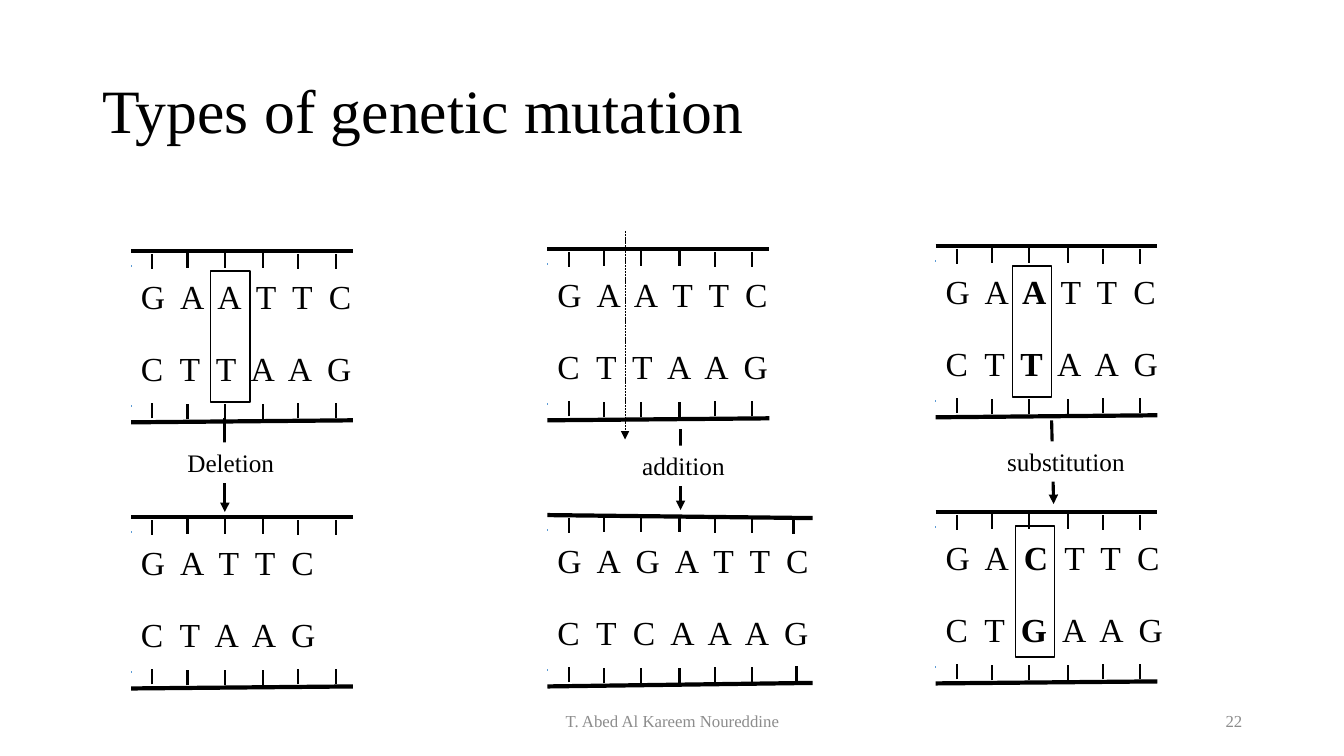
from dataclasses import dataclass
from itertools import accumulate

from lxml.etree import SubElement
from pptx import Presentation
from pptx.dml.color import RGBColor
from pptx.enum.dml import MSO_LINE
from pptx.enum.shapes import MSO_CONNECTOR, MSO_SHAPE
from pptx.enum.text import MSO_ANCHOR, PP_ALIGN
from pptx.oxml.ns import qn
from pptx.util import Inches, Pt


@dataclass(frozen=True)
class Theme:
    font: str = "Times New Roman"
    ink: RGBColor = RGBColor(0, 0, 0)
    paper: RGBColor = RGBColor(255, 255, 255)
    muted: RGBColor = RGBColor(0x8C, 0x8C, 0x8C)
    accent: RGBColor = RGBColor(0x5B, 0x9B, 0xD5)
    title: int = 44
    base: int = 24
    label: int = 18
    footer: int = 12
    rail: float = 3
    arrow: float = 2.25
    tick: float = 1.5
    frame: float = 1
    hairline: float = 0.5


THEME = Theme()

# Letter widths and side kerning, in ems; each gap between bases is half an em
LETTER = {"G": 0.72, "A": 0.72, "T": 0.61, "C": 0.67}
BOLD_LETTER = {"G": 0.78, "A": 0.72, "T": 0.67, "C": 0.72}
KERN = {"A": 0.055, "T": 0.018}
BASE_GAP = 0.5

# Strand geometry, relative to the left end of its top rail
TICK_XS = (0.21, 0.56, 0.93, 1.31, 1.66, 2.03)
SHORT_RAIL, LONG_RAIL = 2.2, 2.63
TICK_LENGTH = 0.15
STRAND_STEP = 2.64


def add_run(paragraph, text, size, color=THEME.ink, bold=False):
    run = paragraph.add_run()
    run.text = text
    run.font.name, run.font.size = THEME.font, Pt(size)
    run.font.color.rgb, run.font.bold = color, bold


def add_text(shapes, box, text, size, color=THEME.ink, align=PP_ALIGN.LEFT,
             anchor=MSO_ANCHOR.MIDDLE):
    text_box = shapes.add_textbox(*map(Inches, box))
    frame = text_box.text_frame
    frame.word_wrap, frame.vertical_anchor = True, anchor
    paragraph = frame.paragraphs[0]
    paragraph.alignment = align
    if text:
        add_run(paragraph, text, size, color)
    return text_box


def add_line(shapes, start, end, width, color=THEME.ink, dash=None, arrow=False):
    line = shapes.add_connector(MSO_CONNECTOR.STRAIGHT, *map(Inches, (*start, *end)))
    line.line.color.rgb, line.line.width = color, Pt(width)
    if dash:
        line.line.dash_style = dash
    if arrow:
        SubElement(line.line._get_or_add_ln(), qn("a:tailEnd"), type="triangle")
    SubElement(line._element.spPr, qn("a:effectLst"))


def add_bases(shapes, box, bases, bold_index):
    """Write a row of bases, each at a tab stop worked out from letter widths."""
    row = add_text(shapes, box, "", THEME.base, anchor=MSO_ANCHOR.TOP)
    paragraph = row.text_frame.paragraphs[0]
    advances = []
    for i, (base, following) in enumerate(zip(bases, bases[1:])):
        width = (BOLD_LETTER if i == bold_index else LETTER)[base]
        kern = KERN.get(base, 0) + KERN.get(following, 0)
        advances.append((width + BASE_GAP - kern) * THEME.base / 72)
    tabs = SubElement(paragraph._p.get_or_add_pPr(), qn("a:tabLst"))
    for stop in accumulate(advances):
        SubElement(tabs, qn("a:tab"), pos=str(Inches(stop)), algn="l")
    if bold_index is None:
        add_run(paragraph, "\t".join(bases), THEME.base)
    else:
        add_run(paragraph, "\t".join(bases[:bold_index]) + "\t", THEME.base)
        add_run(paragraph, bases[bold_index], THEME.base, bold=True)
        add_run(paragraph, "\t" + "\t".join(bases[bold_index + 1:]), THEME.base)


def add_strand(slide, x, y, rows, rail=SHORT_RAIL, tilt=0, bold_index=None):
    """Draw a double strand: two rails with ticks and two rows of bases."""
    shapes = slide.shapes.add_group_shape().shapes
    for bases, row_y in zip(rows, (0.2, 0.915)):
        add_bases(shapes, (x, y + row_y, rail + 0.35, 0.5), bases, bold_index)

    # Rails and the small marks at their left ends
    add_line(shapes, (x, y), (x + rail, y + tilt), THEME.rail)
    add_line(shapes, (x, y + 1.7), (x + rail, y + 1.68 - tilt / 2), THEME.rail)
    for mark_y in (0.14, 1.53):
        add_line(shapes, (x, y + mark_y), (x, y + mark_y + 0.02),
                 THEME.hairline, THEME.accent)

    # Ticks: the first and the last two stand slightly further in
    for i, tick_x in enumerate(TICK_XS):
        inset = 0.03 if i in (0, 4, 5) else 0.02
        for edge, inward in ((y + inset, 1), (y + 1.69 - inset, -1)):
            add_line(shapes, (x + tick_x, edge),
                     (x + tick_x, edge + inward * TICK_LENGTH), THEME.tick)


def add_frame(slide, x, y):
    frame = slide.shapes.add_shape(
        MSO_SHAPE.RECTANGLE, *map(Inches, (x, y, 0.39, 1.3)))
    frame.shadow.inherit = False
    frame.fill.background()
    frame.line.color.rgb, frame.line.width = THEME.ink, Pt(THEME.frame)


def add_step(slide, start, end, label, label_box):
    """Draw the arrow from one strand to the next with its label over it."""
    add_line(slide.shapes, start, end, THEME.arrow, arrow=True)
    plate = add_text(slide.shapes, label_box, label, THEME.label,
                     anchor=MSO_ANCHOR.TOP)
    plate.fill.solid()
    plate.fill.fore_color.rgb = THEME.paper


def add_deletion(slide, x, y):
    add_strand(slide, x, y, ("GAATTC", "CTTAAG"))
    add_strand(slide, x, y + STRAND_STEP, ("GATTC", "CTAAG"))
    add_frame(slide, x + 0.79, y + 0.2)
    add_step(slide, (x + 0.93, y + 1.66), (x + 0.93, y + 2.59),
             "Deletion", (x + 0.46, y + 1.9, 1.82, 0.4))


def add_addition(slide, x, y):
    after_y = y + STRAND_STEP
    add_strand(slide, x, y, ("GAATTC", "CTTAAG"))
    add_strand(slide, x, after_y, ("GAGATTC", "CTCAAAG"), LONG_RAIL, tilt=0.03)
    # Ticks of the added pair
    for tick_x, tick_y in ((2.44, 0.04), (2.47, 1.5)):
        add_line(slide.shapes, (x + tick_x, after_y + tick_y),
                 (x + tick_x, after_y + tick_y + TICK_LENGTH), THEME.tick)
    # Insertion point
    add_line(slide.shapes, (x + 0.77, y - 0.18), (x + 0.77, y + 1.89),
             THEME.hairline, dash=MSO_LINE.SQUARE_DOT, arrow=True)
    add_step(slide, (x + 1.32, y + 1.79), (x + 1.32, y + 2.59),
             "addition", (x + 0.84, y + 1.95, 1.08, 0.4))


def add_substitution(slide, x, y):
    add_strand(slide, x, y, ("GAATTC", "CTTAAG"), bold_index=2)
    add_strand(slide, x, y + STRAND_STEP, ("GACTTC", "CTGAAG"), bold_index=2)
    add_frame(slide, x + 0.76, y + 0.2)
    add_frame(slide, x + 0.79, y + 2.78)
    add_step(slide, (x + 1.15, y + 1.73), (x + 1.17, y + 2.56),
             "substitution", (x + 0.61, y + 1.94, 1.42, 0.4))


def add_heading(slide, box):
    title = add_text(slide.shapes, box, "Types of genetic mutation", THEME.title)
    title.text_frame.paragraphs[0].line_spacing = 0.9


def add_footer(slide, y):
    add_text(slide.shapes, (4.42, y, 4.5, 0.4), "T. Abed Al Kareem Noureddine",
             THEME.footer, THEME.muted, PP_ALIGN.CENTER)
    add_text(slide.shapes, (9.42, y, 3, 0.4), "22",
             THEME.footer, THEME.muted, PP_ALIGN.RIGHT)


def main():
    deck = Presentation()
    deck.slide_width, deck.slide_height = Inches(13.33), Inches(7.5)
    slide = deck.slides.add_slide(deck.slide_layouts[6])
    add_heading(slide, (0.92, 0.4, 11.5, 1.45))
    add_deletion(slide, 1.3, 2.49)
    add_addition(slide, 5.43, 2.47)
    add_substitution(slide, 9.28, 2.44)
    add_footer(slide, 6.95)
    deck.save("out.pptx")


if __name__ == "__main__":
    main()
